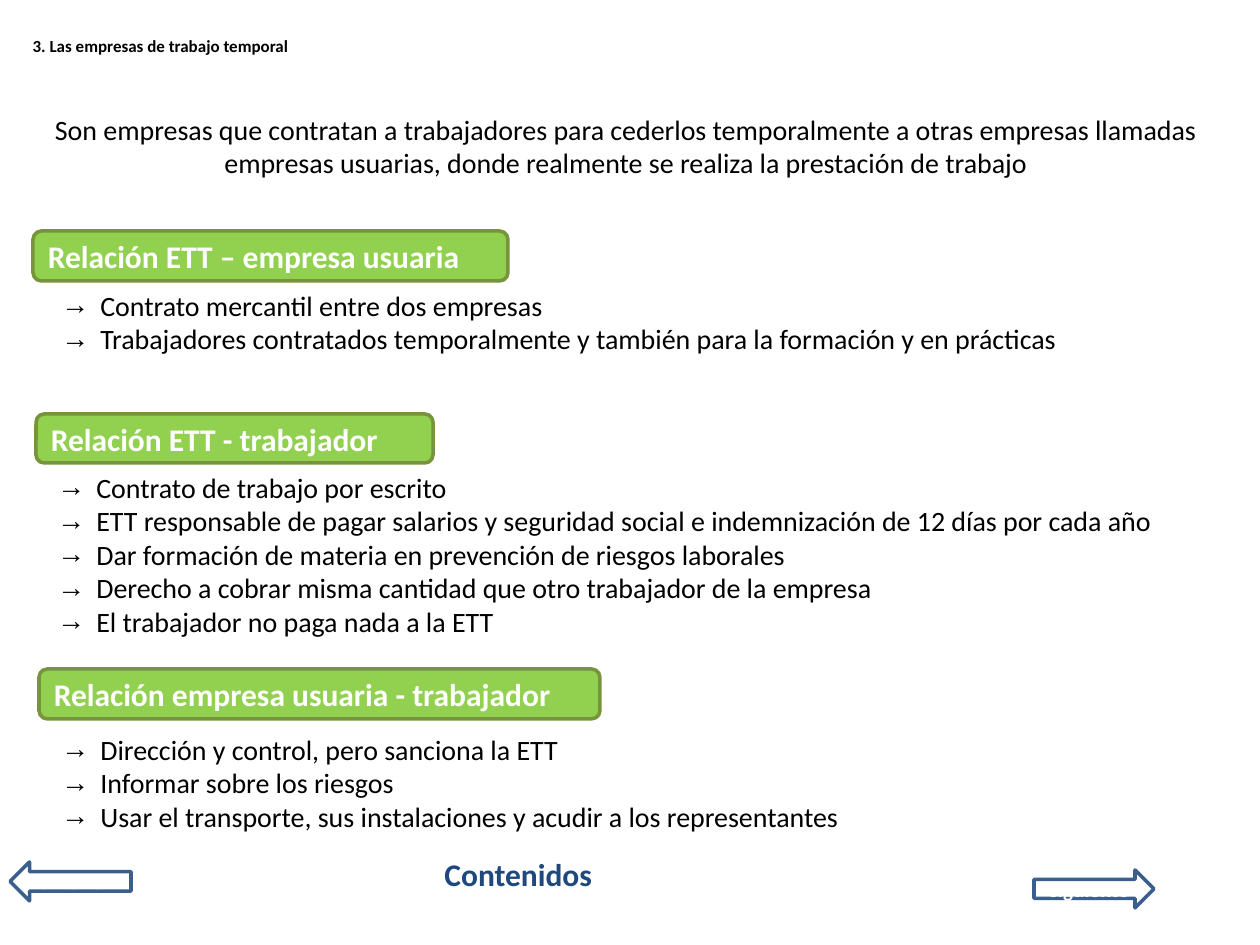
"""Build the slide about temporary employment agencies."""
import pptx
import pptx.dml.color
import pptx.enum.shapes
import pptx.enum.text
import pptx.util
from lxml import etree
from pptx.oxml.ns import qn

SHAPES = pptx.enum.shapes.MSO_SHAPE
ALIGN = pptx.enum.text.PP_ALIGN
ANCHOR = pptx.enum.text.MSO_ANCHOR
AUTO_SIZE = pptx.enum.text.MSO_AUTO_SIZE

TITLE = ("3. Las empresas de trabajo temporal", (20, 6, 1134, 79))
INTRO = (
    "Son empresas que contratan a trabajadores para cederlos temporalmente a otras "
    "empresas llamadas empresas usuarias, donde realmente se realiza la prestación de trabajo",
    (29, 106, 1194, 113),
)
SECTIONS = [
    {
        "heading": "Relación ETT – empresa usuaria",
        "heading_box": (33, 231, 475, 50),
        "points_box": (49, 282, 1109, 113),
        "points": [
            "Contrato mercantil entre dos empresas",
            "Trabajadores contratados temporalmente y también para la formación y en prácticas",
        ],
    },
    {
        "heading": "Relación ETT - trabajador",
        "heading_box": (36, 414, 397, 49),
        "points_box": (45, 464, 1202, 213),
        "points": [
            "Contrato de trabajo por escrito",
            "ETT responsable de pagar salarios y seguridad social e indemnización de 12 días por cada año",
            "Dar formación de materia en prevención de riesgos laborales",
            "Derecho a cobrar misma cantidad que otro trabajador de la empresa",
            "El trabajador no paga nada a la ETT",
        ],
    },
    {
        "heading": "Relación empresa usuaria - trabajador",
        "heading_box": (39, 669, 561, 50),
        "points_box": (49, 726, 1174, 113),
        "points": [
            "Dirección y control, pero sanciona la ETT",
            "Informar sobre los riesgos",
            "Usar el transporte, sus instalaciones y acudir a los representantes",
        ],
    },
]
CONTENTS = ("Contenidos", (432, 849, 181, 88))
ARROWS = [
    ("anterior", SHAPES.LEFT_ARROW, (10, 862, 121, 39)),
    ("siguiente", SHAPES.RIGHT_ARROW, (1034, 870, 120, 38)),
]

THEME = {
    "font": "Calibri",
    "bullet_font": "Arial",
    "bullet": "→",
    "text": "000000",
    "heading_fill": "92D050",
    "heading_line": "77933C",
    "arrow_line": "3A5F8C",
    "line_width": 2,
    "title": {"size": 9.7, "bold": True, "color": "000000"},
    "body": {"size": 16, "bold": False, "color": "000000"},
    "heading": {"size": 18, "bold": True, "color": "FFFFFF"},
    "contents": {"size": 18, "bold": True, "color": "1F497D"},
    "arrow": {"size": 12, "bold": True, "color": "FFFFFF"},
}
PX_PER_INCH = 126
HANGING_INDENT = 39


def px(length):
    return pptx.util.Emu(round(length * 914400 / PX_PER_INCH))


def rgb(value):
    return pptx.dml.color.RGBColor.from_string(value)


def set_values(target, values):
    for name, value in values.items():
        setattr(target, name, value)


def place(shape, box):
    set_values(shape, dict(zip(("left", "top", "width", "height"), map(px, box))))


def write(shape, lines, style, alignment=ALIGN.LEFT, anchor=ANCHOR.TOP):
    frame = shape.text_frame
    set_values(frame, {"word_wrap": True, "auto_size": AUTO_SIZE.NONE, "vertical_anchor": anchor})
    frame.text = "\n".join(lines)
    look = THEME[style]
    for paragraph in frame.paragraphs:
        paragraph.alignment = alignment
        font = paragraph.runs[0].font
        set_values(font, {"name": THEME["font"], "size": pptx.util.Pt(look["size"]), "bold": look["bold"]})
        font.color.rgb = rgb(look["color"])
    return frame


def add_bullet(paragraph):
    properties = paragraph._p.get_or_add_pPr()
    properties.set("marL", str(px(HANGING_INDENT)))
    properties.set("indent", str(-px(HANGING_INDENT)))
    color = etree.SubElement(properties, qn("a:buClr"))
    etree.SubElement(color, qn("a:srgbClr"), val=THEME["text"])
    etree.SubElement(properties, qn("a:buFont"), typeface=THEME["bullet_font"])
    etree.SubElement(properties, qn("a:buChar"), char=THEME["bullet"])


def add_text(slide, lines, box, style, alignment=ALIGN.LEFT):
    return write(slide.shapes.add_textbox(*map(px, box)), lines, style, alignment)


def add_outlined(slide, kind, box, line_color, fill_color=None):
    shape = slide.shapes.add_shape(kind, *map(px, box))
    shape.shadow.inherit = False
    if fill_color:
        shape.fill.solid()
        shape.fill.fore_color.rgb = rgb(fill_color)
    else:
        shape.fill.background()
    shape.line.color.rgb = rgb(line_color)
    shape.line.width = pptx.util.Pt(THEME["line_width"])
    return shape


def add_section(slide, section):
    heading = add_outlined(
        slide, SHAPES.ROUNDED_RECTANGLE, section["heading_box"], THEME["heading_line"], THEME["heading_fill"]
    )
    write(heading, [section["heading"]], "heading", anchor=ANCHOR.MIDDLE)
    frame = add_text(slide, section["points"], section["points_box"], "body")
    for paragraph in frame.paragraphs:
        add_bullet(paragraph)


def main():
    presentation = pptx.Presentation()
    set_values(presentation, {"slide_width": px(1260), "slide_height": px(945)})
    slide = presentation.slides.add_slide(presentation.slide_layouts[5])

    text, box = TITLE
    place(slide.shapes.title, box)
    write(slide.shapes.title, [text], "title", anchor=ANCHOR.MIDDLE)

    text, box = INTRO
    add_text(slide, [text], box, "body", ALIGN.CENTER)
    for section in SECTIONS:
        add_section(slide, section)

    text, box = CONTENTS
    add_text(slide, [text], box, "contents")
    for text, kind, box in ARROWS:
        arrow = add_outlined(slide, kind, box, THEME["arrow_line"])
        write(arrow, [text], "arrow", ALIGN.CENTER, ANCHOR.MIDDLE)

    presentation.save("out.pptx")


if __name__ == "__main__":
    main()
